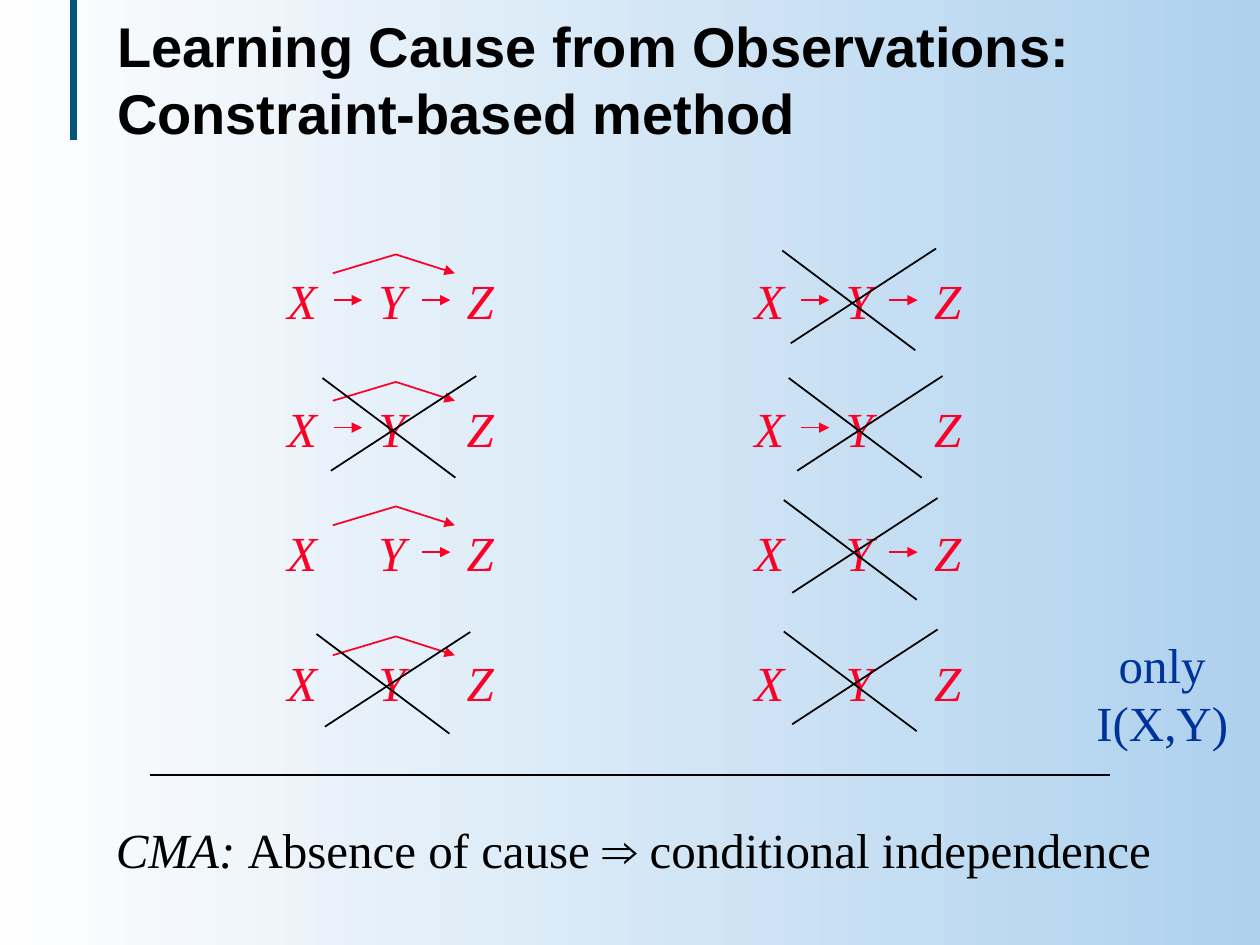
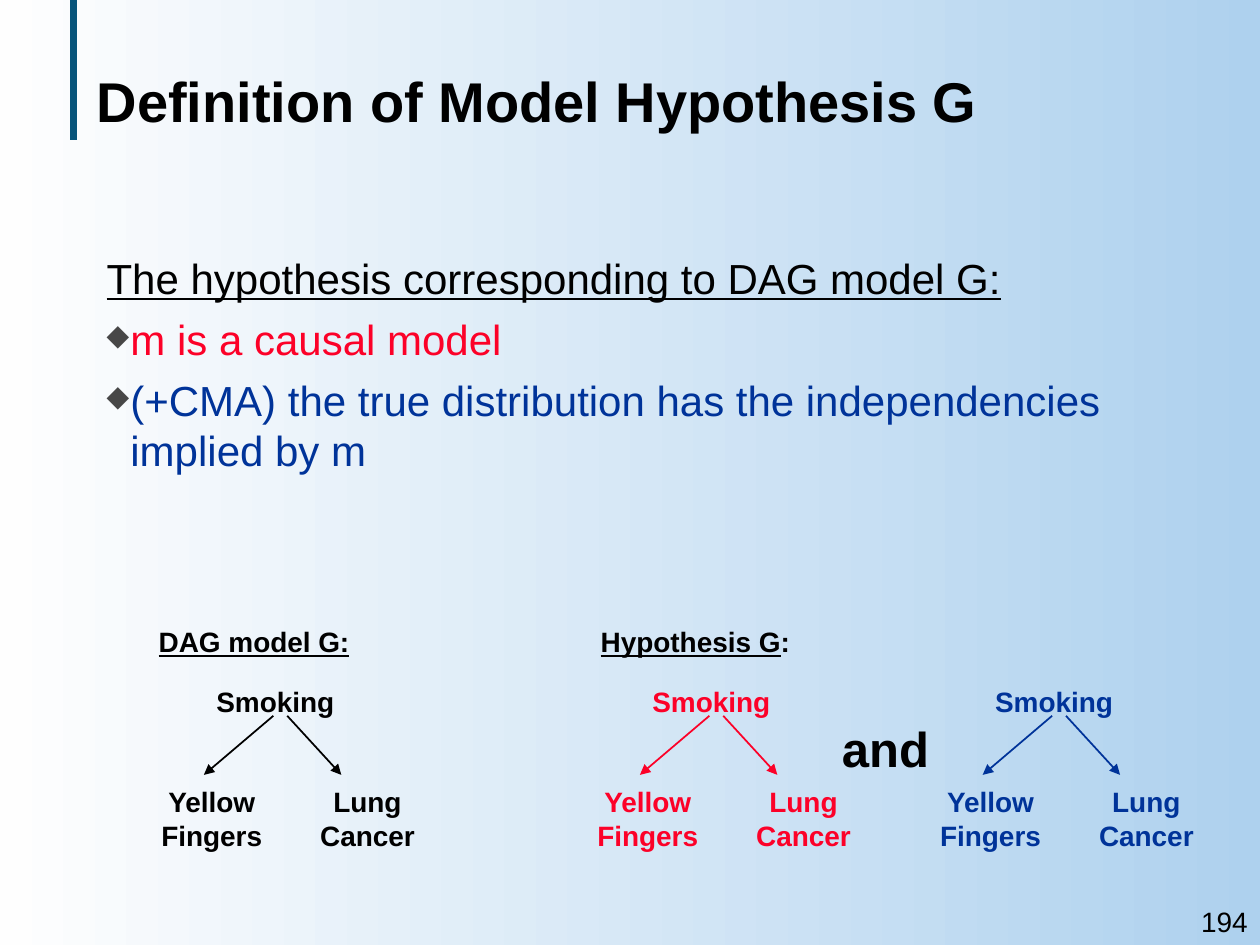
"""Build two slides on learning cause from observations."""
from dataclasses import dataclass

from lxml.etree import SubElement
from pptx import Presentation
from pptx.dml.color import RGBColor
from pptx.enum.shapes import MSO_CONNECTOR
from pptx.enum.text import MSO_ANCHOR, PP_ALIGN
from pptx.oxml.ns import qn
from pptx.util import Cm, Pt


@dataclass(frozen=True)
class Theme:
    black: str = "000000"
    red: str = "FC0128"
    blue: str = "003399"
    band: str = "07547A"
    mark: str = "474747"
    sky: str = "AED1EE"
    pale: str = "FEFEFE"
    sans: str = "Arial"
    serif: str = "Times New Roman"
    title: int = 32
    large: int = 28
    body: int = 24
    small: int = 16


def write(par, text, font="Arial", size=16, color="000000", **style):
    run = par.add_run()
    run.text = text
    run.font.name = font
    run.font.size = Pt(size)
    run.font.color.rgb = RGBColor.from_string(color)
    for name, value in style.items():
        setattr(run.font, name, value)


class Deck:
    def __init__(self, theme):
        self.theme = theme
        self.show = Presentation()
        self.show.slide_width = Cm(25.4)
        self.show.slide_height = Cm(19.05)
        fill = self.show.slide_master.background.fill
        fill.gradient()
        fill.gradient_angle = 180
        for stop, color in zip(fill.gradient_stops, (theme.sky, theme.pale)):
            stop.color.rgb = RGBColor.from_string(color)

    def start(self, lines, left, top, width):
        self.slide = self.show.slides.add_slide(self.show.slide_layouts[6])
        self.line((1.48, 0), (1.48, 2.82), self.theme.band, width=4)
        self.text(lines, left, top, width, 3.18, wrap=True, align=PP_ALIGN.LEFT,
                  size=self.theme.title, bold=True)

    def text(self, lines, left, top, width, height, align=PP_ALIGN.CENTER,
             anchor=MSO_ANCHOR.MIDDLE, wrap=False, **style):
        box = self.slide.shapes.add_textbox(Cm(left), Cm(top), Cm(width), Cm(height))
        frame = box.text_frame
        frame.word_wrap = wrap
        frame.vertical_anchor = anchor
        for i, line in enumerate(lines):
            par = frame.paragraphs[0] if i == 0 else frame.add_paragraph()
            par.alignment = align
            for part, extra in [(line, {})] if isinstance(line, str) else line:
                write(par, part, **{**style, **extra})
        return frame.paragraphs

    def tabs(self, par, stops):
        group = SubElement(par._p.get_or_add_pPr(), qn("a:tabLst"))
        for stop in stops:
            SubElement(group, qn("a:tab"), pos=str(Cm(stop)), algn="l")

    def bullet(self, par):
        props = par._p.get_or_add_pPr()
        props.set("marL", str(Cm(0.48)))
        props.set("indent", str(Cm(-0.48)))
        par.space_before = Pt(6)
        tint = SubElement(props, qn("a:buClr"))
        SubElement(tint, qn("a:srgbClr"), val=self.theme.mark)
        SubElement(props, qn("a:buSzPct"), val="70000")
        SubElement(props, qn("a:buChar"), char="◆")

    def stroke(self, shape, color, width, arrow):
        shape.line.color.rgb = RGBColor.from_string(color)
        shape.line.width = Pt(width)
        if arrow:
            SubElement(shape.line._get_or_add_ln(), qn("a:tailEnd"), type="triangle")

    def line(self, begin, end, color, width=1, arrow=False):
        points = [Cm(value) for value in (*begin, *end)]
        shape = self.slide.shapes.add_connector(MSO_CONNECTOR.STRAIGHT, *points)
        self.stroke(shape, color, width, arrow)
        SubElement(shape._element.spPr, qn("a:effectLst"))

    def bend(self, points, color):
        first, *rest = [(Cm(x), Cm(y)) for x, y in points]
        path = self.slide.shapes.build_freeform(*first)
        path.add_line_segments(rest, close=False)
        shape = path.convert_to_shape()
        shape.fill.background()
        shape.shadow.inherit = False
        self.stroke(shape, color, 1, True)

    def chain(self, x, y, links):
        theme = self.theme
        pars = self.text(["X\tY\tZ"], x, y, 4.9, 1.45, align=PP_ALIGN.LEFT, wrap=True,
                         font=theme.serif, size=theme.large, color=theme.red, italic=True)
        self.tabs(pars[0], (1.84, 3.62))
        for name, begin in (("XY", 1.19), ("YZ", 2.97)):
            if name in links:
                self.line((x + begin, y + 0.72), (x + begin + 0.57, y + 0.72),
                          theme.red, arrow=True)
        if "XZ" in links:
            self.bend([(x + 1.17, y + 0.18), (x + 2.44, y - 0.2), (x + 3.63, y + 0.18)],
                      theme.red)

    def cross(self, x, y):
        self.line((x, y), (x + 2.68, y + 2.01), self.theme.black)
        self.line((x + 3.1, y - 0.04), (x + 0.17, y + 1.87), self.theme.black)

    def tree(self, x, color):
        for begin, end in ((1.68, 2.77), (1.4, 0)):
            self.line((x + begin, 14.43), (x + end, 15.62), color, arrow=True)
        for lines, center, top in ((["Smoking"], 1.44, 13.67),
                                   (["Yellow", "Fingers"], 0.16, 15.7),
                                   (["Lung", "Cancer"], 3.3, 15.7)):
            self.text(lines, x + center - 1.7, top, 3.4, 0.25 + 0.69 * len(lines),
                      anchor=MSO_ANCHOR.TOP, size=self.theme.small, color=color, bold=True)


def method(deck):
    theme = deck.theme
    deck.start(["Learning Cause from Observations:", "Constraint-based method"],
               2.11, 0, 19.89)
    rows = ((5.33, "XY YZ"), (7.9, "XY"), (10.41, "YZ"), (13.03, ""))
    for x, extra in ((5.54, " XZ"), (14.96, "")):
        for y, links in rows:
            deck.chain(x, y, links + extra)
    for spot in ((15.77, 5.05), (15.9, 7.62), (15.8, 10.08), (15.8, 12.73),
                 (6.5, 7.62), (6.38, 12.78)):
        deck.cross(*spot)
    deck.line((3.02, 15.62), (22.38, 15.62), theme.black)
    deck.text([[("CMA: ", {"italic": True}), ("Absence of cause ", {}),
                ("⇒", {"font": theme.sans}), (" conditional independence", {})]],
              1.84, 16.38, 21.86, 1.45, font=theme.serif, size=theme.large)
    deck.text(["only", "I(X,Y)"], 21.64, 12.65, 3.58, 2.64,
              font=theme.serif, size=theme.large, color=theme.blue)


def meaning(deck):
    theme = deck.theme
    deck.start(["Definition of Model Hypothesis G"], 1.7, 0.43, 22.66)
    pars = deck.text(
        [[("The hypothesis corresponding to DAG model G:", {"underline": True})],
         [("m is a causal model", {"color": theme.red})],
         [("(+CMA) the true distribution has the independencies implied by m",
           {"color": theme.blue})]],
        1.9, 4.97, 22.58, 12.6, align=PP_ALIGN.LEFT, anchor=MSO_ANCHOR.TOP,
        wrap=True, size=theme.body)
    for par in pars[1:]:
        deck.bullet(par)
    for x, color in ((12.9, theme.red), (19.81, theme.blue), (4.11, theme.black)):
        deck.tree(x, color)
    deck.text(["and"], 16.52, 14.35, 2.66, 1.45, size=theme.large, bold=True)
    under = {"underline": True}
    for x, line in ((2.95, [("DAG model G:", under)]),
                    (11.86, [("Hypothesis G", under), (":", {})])):
        deck.text([line], x, 12.47, 5, 0.94, align=PP_ALIGN.LEFT, wrap=True,
                  anchor=MSO_ANCHOR.TOP, size=theme.small, bold=True)
    deck.text(["194"], 22.83, 18.11, 2.57, 0.94, align=PP_ALIGN.RIGHT, wrap=True,
              size=theme.small)


def main():
    deck = Deck(Theme())
    method(deck)
    meaning(deck)
    deck.show.save("out.pptx")


if __name__ == "__main__":
    main()
